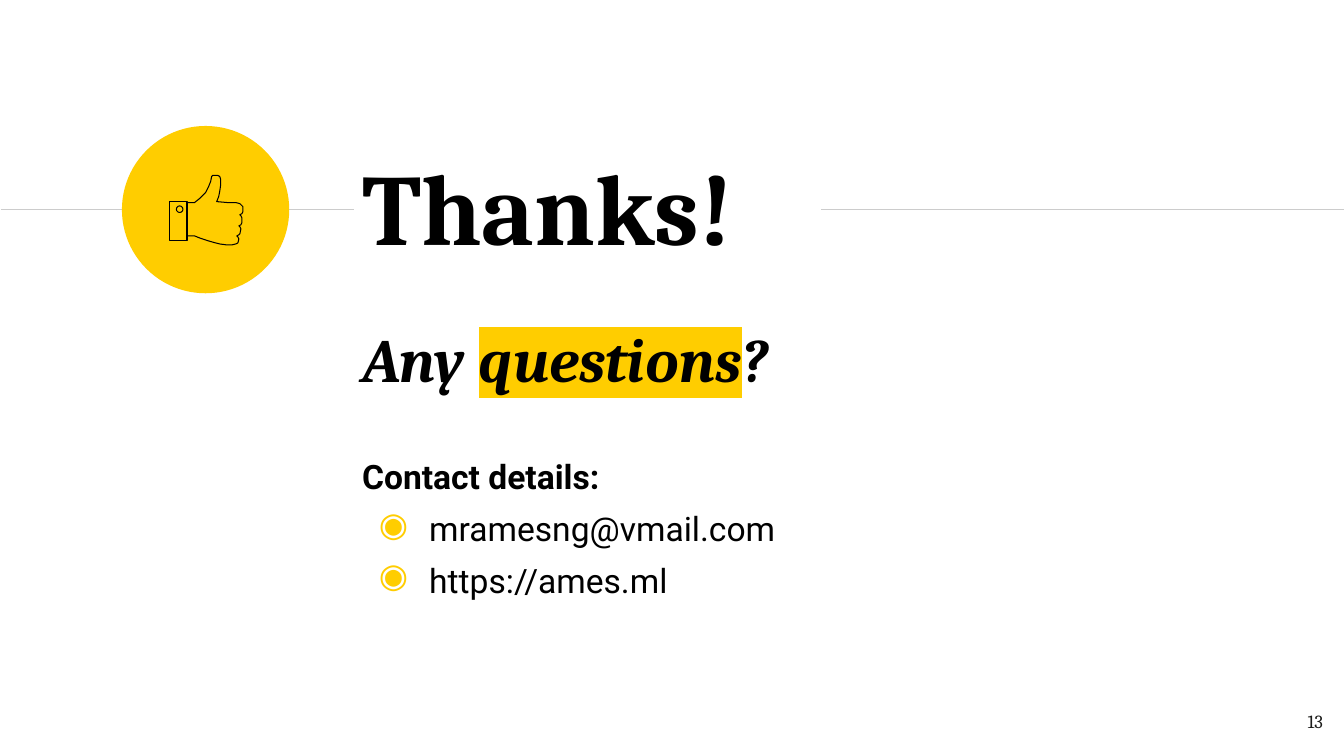
from dataclasses import dataclass

from lxml import etree
from pptx import Presentation
from pptx.dml.color import RGBColor
from pptx.enum import shapes, text
from pptx.oxml import ns
from pptx.util import Pt


@dataclass(frozen=True)
class Theme:
    accent: str = "FFCD00"
    ink: str = "000000"
    rule: str = "CCCCCC"
    number: str = "1D1D1B"
    serif: str = "Cambria"
    sans: str = "Roboto"
    title_size: float = 72
    question_size: float = 44
    body_size: float = 24
    number_size: float = 13.3
    stroke: float = 0.75
    inset: float = 9.6
    gap: float = 8


THEME = Theme()

THUMB = [
    (65, 109), (72, 109), (77, 111), (86, 114), (93, 116), (97, 117),
    (104, 118), (109, 118), (113, 117), (115, 116), (116, 112), (115, 110),
    (114, 109), (116, 108), (117, 107), (118, 102), (117, 100), (116, 99),
    (118, 98), (119, 96), (119, 91), (118, 89), (117, 88), (119, 87),
    (120, 85), (120, 80), (119, 79), (117, 77), (113, 76), (105, 76),
    (94, 75), (96, 70), (97, 65), (98, 58), (98, 53), (97, 50), (95, 49),
    (92, 49), (90, 49), (89, 50), (88, 55), (86, 60), (84, 64), (83, 66),
    (80, 69), (77, 72), (72, 76), (65, 76),
]


def apply_format(target, values):
    for name, value in values.items():
        setattr(target, name, value)


def add_text_box(slide, box, anchor=text.MSO_ANCHOR.TOP):
    shape = slide.shapes.add_textbox(*map(Pt, box))
    inset = Pt(THEME.inset)
    apply_format(shape.text_frame, {
        "word_wrap": True, "vertical_anchor": anchor,
        "margin_left": inset, "margin_right": inset,
        "margin_top": inset, "margin_bottom": inset,
    })
    return shape.text_frame


def add_run(paragraph, words, size, font, color=THEME.ink, bold=False, italic=False):
    run = paragraph.add_run()
    run.text = words
    apply_format(run.font, {"size": Pt(size), "name": font, "bold": bold, "italic": italic})
    run.font.color.rgb = RGBColor.from_string(color)
    return run


def add_color(parent, tag):
    holder = etree.SubElement(parent, ns.qn(tag))
    etree.SubElement(holder, ns.qn("a:srgbClr"), val=THEME.accent)
    return holder


def highlight(run):
    properties = run.font._element
    properties.find(ns.qn("a:solidFill")).addnext(add_color(properties, "a:highlight"))


def add_bullet(paragraph):
    properties = paragraph._p.get_or_add_pPr()
    properties.set("marL", str(Pt(48)))
    properties.set("indent", str(Pt(-36)))
    add_color(properties, "a:buClr")
    etree.SubElement(properties, ns.qn("a:buChar"), char="◉")


def add_rule(slide, left, right, top):
    connector = slide.shapes.add_connector(
        shapes.MSO_CONNECTOR.STRAIGHT, Pt(left), Pt(top), Pt(right), Pt(top))
    connector.line.color.rgb = RGBColor.from_string(THEME.rule)
    connector.line.width = Pt(THEME.stroke)
    etree.SubElement(connector._element.spPr, ns.qn("a:effectLst"))


def outline(shape):
    shape.shadow.inherit = False
    shape.fill.background()
    shape.line.color.rgb = RGBColor.from_string(THEME.ink)
    shape.line.width = Pt(THEME.stroke)


def add_badge(slide, box):
    left, top, width, height = box
    circle = slide.shapes.add_shape(shapes.MSO_SHAPE.OVAL, *map(Pt, box))
    circle.shadow.inherit = False
    circle.fill.solid()
    circle.fill.fore_color.rgb = RGBColor.from_string(THEME.accent)
    circle.line.fill.background()

    cuff = (shapes.MSO_SHAPE.RECTANGLE, 33.7, 53.9, 12.8, 28.2)
    button = (shapes.MSO_SHAPE.OVAL, 38.9, 57.1, 4.7, 4.7)
    for kind, x, y, w, h in (cuff, button):
        outline(slide.shapes.add_shape(kind, Pt(left + x), Pt(top + y), Pt(w), Pt(h)))

    builder = slide.shapes.build_freeform(*THUMB[0], scale=Pt(0.72))
    builder.add_line_segments(THUMB[1:], close=False)
    outline(builder.convert_to_shape(Pt(left), Pt(top)))


def add_title(slide, box):
    frame = add_text_box(slide, box, text.MSO_ANCHOR.MIDDLE)
    add_run(frame.paragraphs[0], "Thanks!", THEME.title_size, THEME.serif, bold=True)


def add_contact(slide, box):
    frame = add_text_box(slide, box)
    question = frame.paragraphs[0]
    question.space_before = Pt(THEME.gap)
    for words in ("Any ", "questions", "?"):
        run = add_run(question, words, THEME.question_size, THEME.serif, bold=True, italic=True)
        if words == "questions":
            highlight(run)

    heading = frame.add_paragraph()
    heading.space_before = Pt(44)
    add_run(heading, "Contact details:", THEME.body_size, THEME.sans, bold=True)

    for address in ("mramesng@vmail.com", "https://ames.ml"):
        paragraph = frame.add_paragraph()
        paragraph.space_before = Pt(THEME.gap)
        add_bullet(paragraph)
        add_run(paragraph, address, THEME.body_size, THEME.sans)


def add_slide_number(slide, box):
    paragraph = add_text_box(slide, box).paragraphs[0]
    paragraph.alignment = text.PP_ALIGN.RIGHT
    add_run(paragraph, "13", THEME.number_size, THEME.serif, THEME.number)


def add_closing_slide(presentation):
    slide = presentation.slides.add_slide(presentation.slide_layouts[6])
    add_contact(slide, (249, 219.6, 527, 82))
    for left, right in ((0.7, 252.7), (586.8, 960)):
        add_rule(slide, left, right, 149.8)
    add_title(slide, (249, 85.7, 515.5, 121.7))
    add_badge(slide, (87.1, 90, 119.5, 119.5))
    add_slide_number(slide, (897, 499, 57.6, 41))


def main():
    presentation = Presentation()
    apply_format(presentation, {"slide_width": Pt(960), "slide_height": Pt(540)})
    add_closing_slide(presentation)
    presentation.save("out.pptx")


if __name__ == "__main__":
    main()
